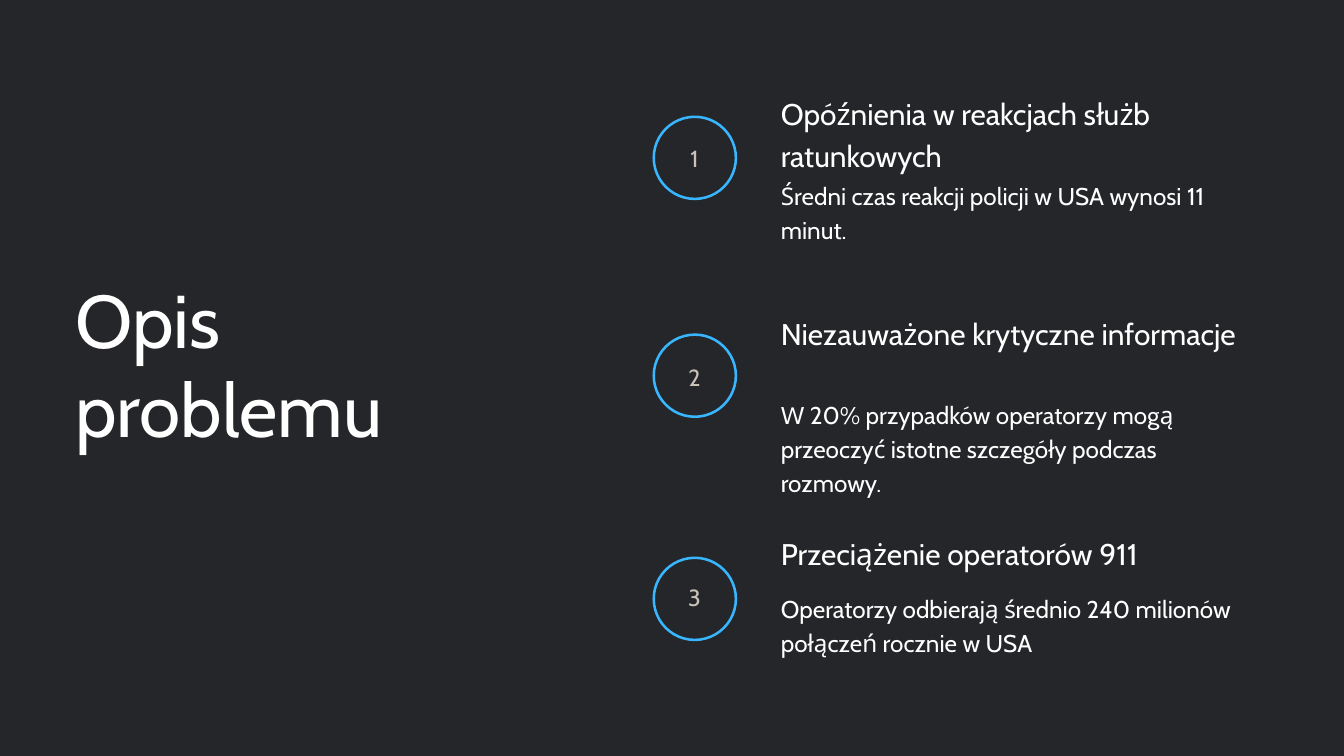
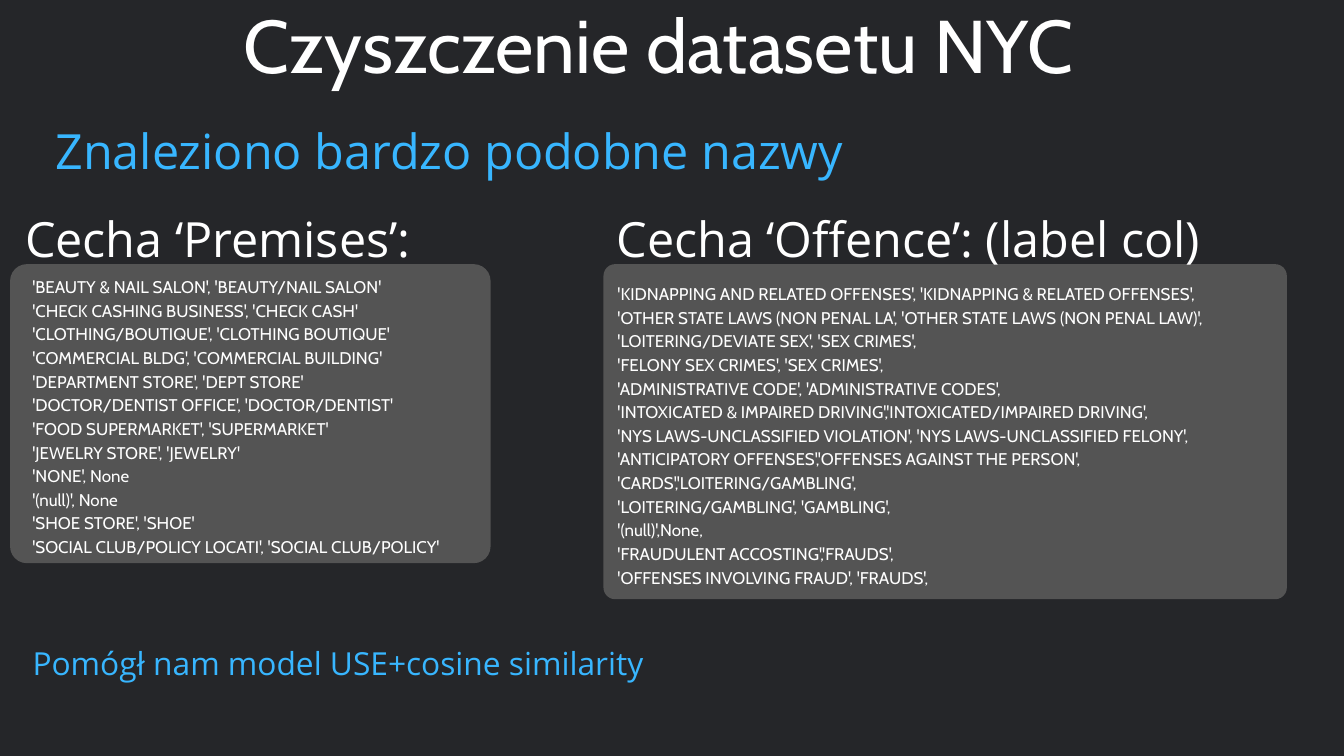
from dataclasses import dataclass

from pptx import Presentation
from pptx.dml.color import RGBColor
from pptx.enum.shapes import MSO_SHAPE
from pptx.enum.text import MSO_ANCHOR, MSO_AUTO_SIZE, PP_ALIGN
from pptx.oxml.ns import qn
from pptx.util import Pt

LEFT, CENTER = PP_ALIGN.LEFT, PP_ALIGN.CENTER
TOP = MSO_ANCHOR.TOP
NO_FIT = MSO_AUTO_SIZE.NONE
DONUT, ROUNDED = MSO_SHAPE.DONUT, MSO_SHAPE.ROUNDED_RECTANGLE
TITLE_ONLY, TWO_CONTENT = 5, 3  # layout indexes


@dataclass(frozen=True)
class Theme:
    background: str = "252629"
    card: str = "545454"
    accent: str = "38B6FF"
    text: str = "FFFFFF"
    number: str = "C8C2B8"
    main_font: str = "Cabin"
    label_font: str = "Open Sans"
    # Type styles: size and line spacing in points
    title: tuple = (80, 96)
    label: tuple = (52, 72.8)
    note: tuple = (34, 47.6)
    heading: tuple = (32, 44.8)
    body: tuple = (26, 36.4)
    digit: tuple = (25, 30)
    entry: tuple = (18.1, 25.3)


THEME = Theme()

# Number, ring offset, heading, heading width, text, text offset, text width
PROBLEMS = [
    ("1", 27.3, "Opóźnienia w reakcjach służb ratunkowych", 561.6,
     "Średni czas reakcji policji w USA wynosi 11 minut.", 92, 486),
    ("2", 25.2, "Niezauważone krytyczne informacje", 507.6,
     "W 20% przypadków operatorzy mogą przeoczyć istotne szczegóły podczas rozmowy.",
     92, 460.8),
    ("3", 28.8, "Przeciążenie operatorów 911", 519.8,
     "Operatorzy odbierają średnio 240 milionów połączeń rocznie w USA", 64, 522),
]

PREMISES = """'BEAUTY & NAIL SALON', 'BEAUTY/NAIL SALON'
'CHECK CASHING BUSINESS', 'CHECK CASH'
'CLOTHING/BOUTIQUE', 'CLOTHING BOUTIQUE'
'COMMERCIAL BLDG', 'COMMERCIAL BUILDING'
'DEPARTMENT STORE', 'DEPT STORE'
'DOCTOR/DENTIST OFFICE', 'DOCTOR/DENTIST'
'FOOD SUPERMARKET', 'SUPERMARKET'
'JEWELRY STORE', 'JEWELRY'
'NONE', None
'(null)', None
'SHOE STORE', 'SHOE'
'SOCIAL CLUB/POLICY LOCATI', 'SOCIAL CLUB/POLICY'"""

OFFENCES = """'KIDNAPPING AND RELATED OFFENSES', 'KIDNAPPING & RELATED OFFENSES',
'OTHER STATE LAWS (NON PENAL LA', 'OTHER STATE LAWS (NON PENAL LAW)',
'LOITERING/DEVIATE SEX', 'SEX CRIMES',
'FELONY SEX CRIMES', 'SEX CRIMES',
'ADMINISTRATIVE CODE', 'ADMINISTRATIVE CODES',
'INTOXICATED & IMPAIRED DRIVING','INTOXICATED/IMPAIRED DRIVING',
'NYS LAWS-UNCLASSIFIED VIOLATION', 'NYS LAWS-UNCLASSIFIED FELONY',
'ANTICIPATORY OFFENSES','OFFENSES AGAINST THE PERSON',
'CARDS','LOITERING/GAMBLING',
'LOITERING/GAMBLING', 'GAMBLING',
'(null)',None,
'FRAUDULENT ACCOSTING','FRAUDS',
'OFFENSES INVOLVING FRAUD', 'FRAUDS',"""


def write_text(slide, text, box, style, holder=None, font=THEME.main_font,
               color=THEME.text, align=LEFT, indent=0):
    """Write text into a placeholder, or into a new text box, at the given box."""
    left, top, width, height = map(Pt, box)
    holder = holder or slide.shapes.add_textbox(left, top, width, height)
    holder.left, holder.top, holder.width, holder.height = left, top, width, height
    frame = holder.text_frame
    frame.text = text
    frame.word_wrap, frame.auto_size, frame.vertical_anchor = True, NO_FIT, TOP
    frame.margin_left = frame.margin_right = frame.margin_top = frame.margin_bottom = 0
    size, spacing = style
    for paragraph in frame.paragraphs:
        paragraph.alignment = align
        paragraph.line_spacing = Pt(spacing)
        paragraph.space_before = paragraph.space_after = Pt(0)
        # Plain lines: fixed left margin, no bullet
        properties = paragraph._p.get_or_add_pPr()
        properties.set("marL", str(Pt(indent)))
        properties.set("indent", "0")
        properties.append(properties.makeelement(qn("a:buNone"), {}))
        for run in paragraph.runs:
            run.font.name, run.font.size = font, Pt(size)
            run.font.color.rgb = RGBColor.from_string(color)


def add_filled(slide, preset, box, color, adjustment):
    shape = slide.shapes.add_shape(preset, *map(Pt, box))
    shape.shadow.inherit = False
    shape.fill.solid()
    shape.fill.fore_color.rgb = RGBColor.from_string(color)
    shape.line.fill.background()
    shape.adjustments[0] = adjustment
    return shape


def add_problem(slide, left, top, problem):
    """A numbered ring with a heading and a text to its right."""
    number, ring_offset, heading, heading_width, text, text_offset, text_width = problem
    ring = 90.7
    add_filled(slide, DONUT, (left, top + ring_offset, ring, ring), THEME.accent, 0.03)
    write_text(slide, number, (left + 27.4, top + 57.6, 35.3, 31), THEME.digit,
               color=THEME.number, align=CENTER)
    text_left = left + 137.5
    write_text(slide, heading, (text_left, top, heading_width, 87), THEME.heading)
    write_text(slide, text, (text_left, top + text_offset, text_width, 108), THEME.body)


def add_names_card(slide, box, radius, label, label_box, names, names_box, holder,
                   indent=0):
    """A card with a label above and a list inside; inner boxes start at its corner."""
    left, top, _, height = box
    card = add_filled(slide, ROUNDED, box, THEME.card, radius / height)
    holder._element.addprevious(card._element)  # keep the card behind its list

    def inside(inner):
        return (left + inner[0], top + inner[1], *inner[2:])

    write_text(slide, names, inside(names_box), THEME.entry, holder=holder, indent=indent)
    write_text(slide, label, inside(label_box), THEME.label, font=THEME.label_font,
               align=CENTER)


def build_problem_slide(prs):
    slide = prs.slides.add_slide(prs.slide_layouts[TITLE_ONLY])
    write_text(slide, "Opis problemu", (80.6, 293, 500, 193.7), THEME.title,
               holder=slide.shapes.title)
    for row, problem in enumerate(PROBLEMS):
        add_problem(slide, 699.1, 96.5 + row * 235.5, problem)


def build_cleaning_slide(prs):
    slide = prs.slides.add_slide(prs.slide_layouts[TWO_CONTENT])
    title, premises, offences = slide.placeholders
    write_text(slide, "Czyszczenie datasetu NYC", (153.4, -1.4, 1104.5, 97.2),
               THEME.title, holder=title, align=CENTER)

    # Lists of similar names
    add_names_card(slide, (10.8, 283, 514.8, 320.4), 18,
                   "Cecha ‘Premises’:", (4.3, -69.9, 437, 69.8),
                   PREMISES, (23.8, 10, 551.5, 321), premises)
    add_names_card(slide, (646.6, 283, 732.2, 359), 12.5,
                   "Cecha ‘Offence’: (label col)", (0, -69.9, 653.8, 69.8),
                   OFFENCES, (0, 17.3, 759.6, 329), offences, indent=15)

    # Accent lines
    accent = dict(font=THEME.label_font, color=THEME.accent, align=CENTER)
    write_text(slide, "Znaleziono bardzo podobne nazwy", (34.6, 119.5, 894.2, 69.8),
               THEME.label, **accent)
    write_text(slide, "Pomógł nam model USE+cosine similarity",
               (34.6, 683.3, 655.2, 45.4), THEME.note, **accent)


def main():
    prs = Presentation()
    prs.slide_width, prs.slide_height = Pt(1440), Pt(810)
    backdrop = prs.slide_master.background.fill
    backdrop.solid()
    backdrop.fore_color.rgb = RGBColor.from_string(THEME.background)
    build_problem_slide(prs)
    build_cleaning_slide(prs)
    prs.save("out.pptx")


if __name__ == "__main__":
    main()
